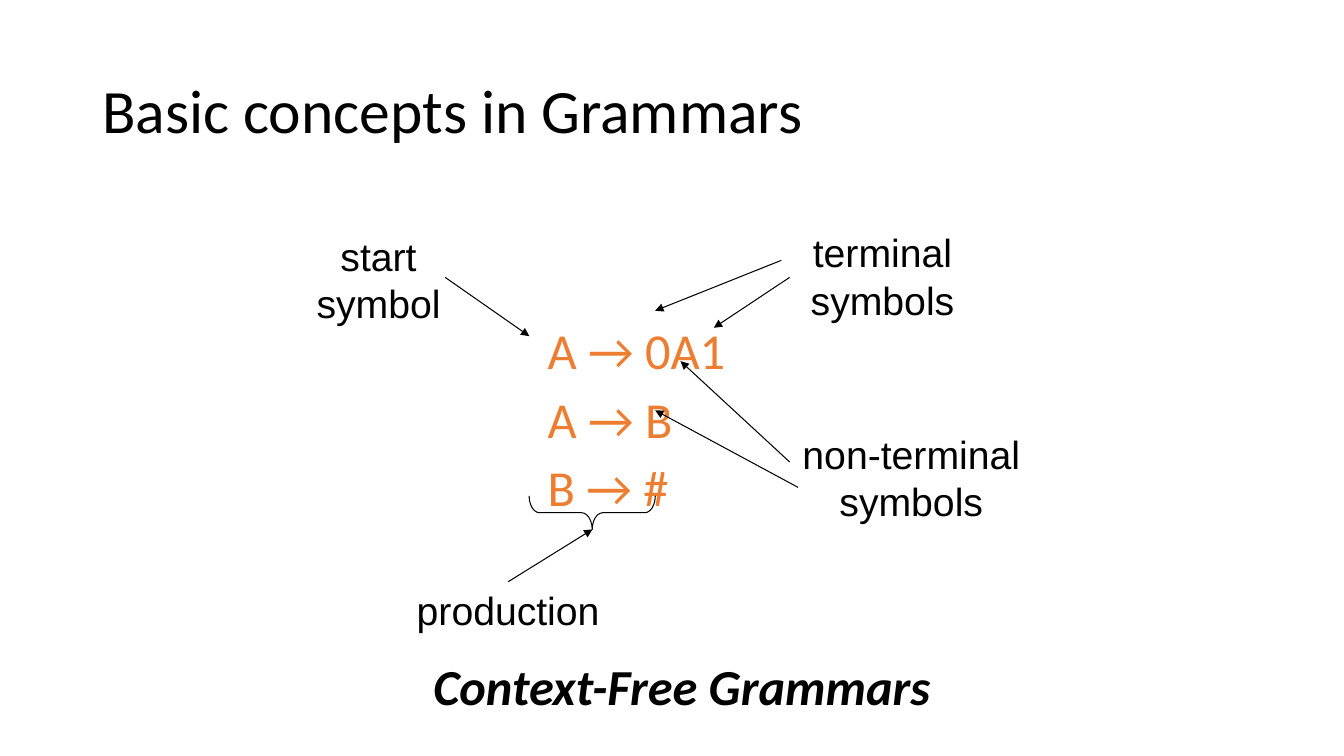
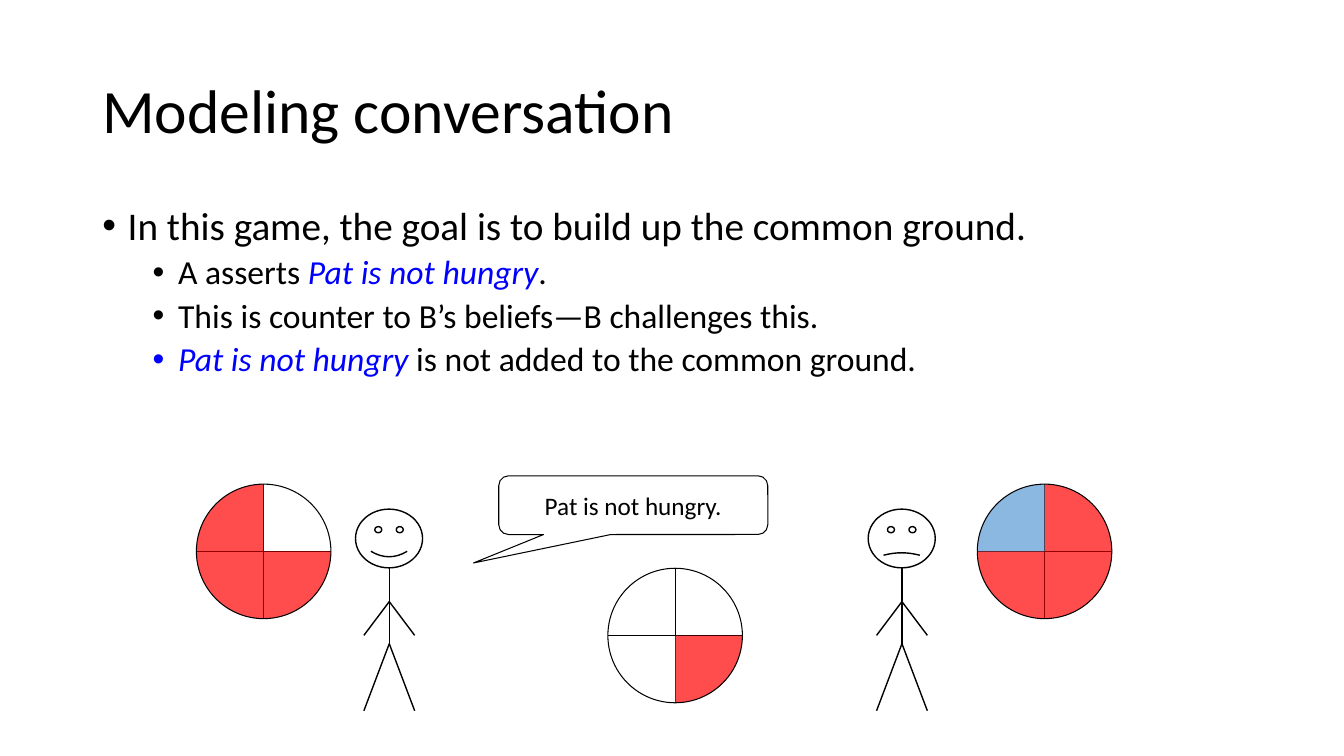
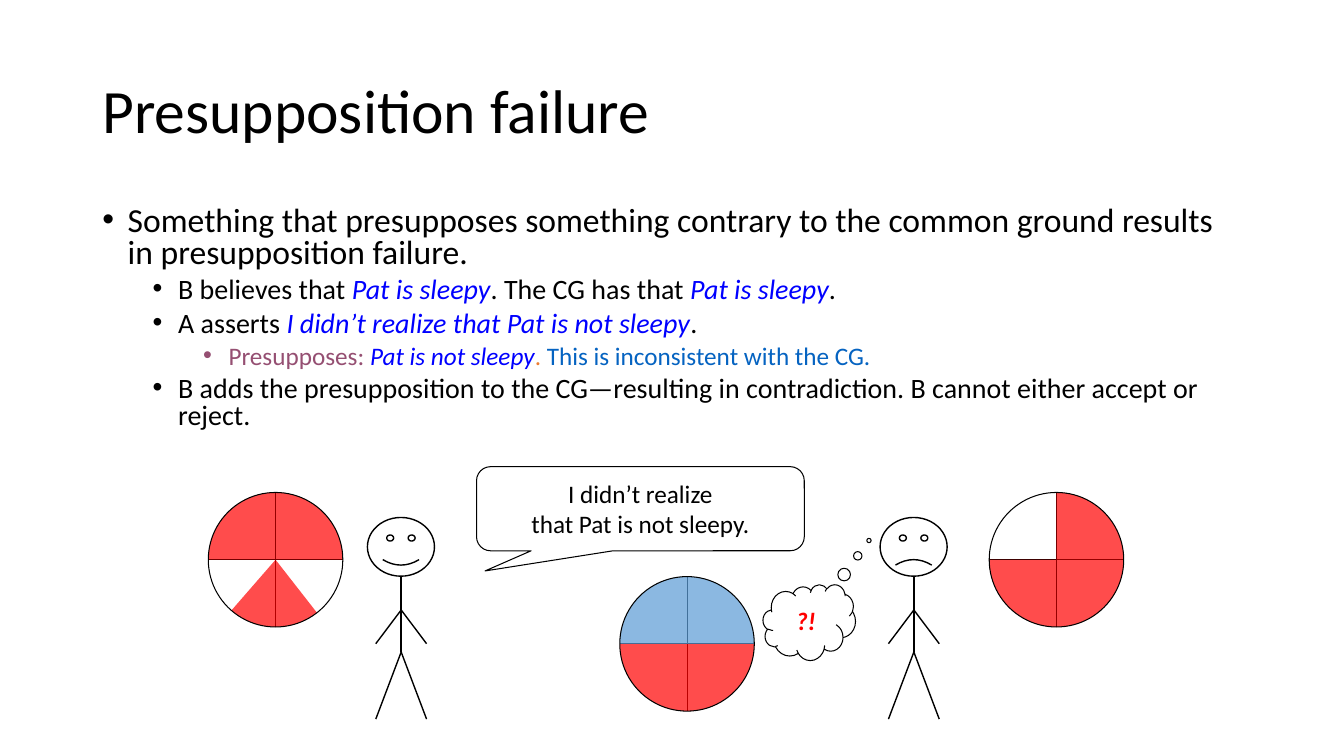
"""Build three lecture slides on grammars and modeling conversation."""
from dataclasses import dataclass
from lxml import etree
from pptx import Presentation
from pptx.dml.color import RGBColor
from pptx.enum.shapes import MSO_CONNECTOR, MSO_SHAPE
from pptx.enum.text import MSO_ANCHOR, PP_ALIGN
from pptx.oxml.ns import qn
from pptx.util import Cm, Pt

STRAIGHT = MSO_CONNECTOR.STRAIGHT
PIE, OVAL, SMILEY = MSO_SHAPE.PIE, MSO_SHAPE.OVAL, MSO_SHAPE.SMILEY_FACE
BRACE = MSO_SHAPE.LEFT_BRACE
SPEECH = MSO_SHAPE.ROUNDED_RECTANGULAR_CALLOUT
THOUGHT = MSO_SHAPE.CLOUD_CALLOUT
TOP, MIDDLE = MSO_ANCHOR.TOP, MSO_ANCHOR.MIDDLE
LEFT, CENTER = PP_ALIGN.LEFT, PP_ALIGN.CENTER


@dataclass(frozen=True)
class Theme:
    """Colours, fonts and sizes shared by the slides."""
    ink: str = "000000"
    orange: str = "ED7D31"
    claim: str = "0000FF"
    purple: str = "954F72"
    blue: str = "0563C1"
    believed: str = "FF0000"
    denied: str = "5B9BD5"
    body_font: str = "Calibri"
    label_font: str = "Arial"
    title_size: int = 44
    rule_size: int = 36
    label_size: int = 28
    speech_size: int = 18
    thin: float = 0.75
    figure: float = 1
    opacity: int = 70000
    spacing: float = 0.9


T = Theme()
LOWER_RIGHT, LOWER_LEFT, UPPER_LEFT, UPPER_RIGHT = (
    (start, start + 90) for start in range(0, 360, 90))
LOWER_WEDGE = (52, 131)
PIE_SIZE = 3.39


def plain(text, color=T.ink):
    """Return an upright run."""
    return text, color, False, False


def claim(text):
    """Return a run that quotes a proposition."""
    return text, T.claim, False, True


def write(paragraph, runs, size, font=T.body_font):
    """Add styled runs to a paragraph."""
    for text, color, bold, italic in runs:
        run = paragraph.add_run()
        run.text = text
        run.font.name, run.font.size = font, Pt(size)
        run.font.bold, run.font.italic = bold, italic
        run.font.color.rgb = RGBColor.from_string(color)


def fill_lines(frame, lines, size, font=T.body_font, align=LEFT, spacing=None, before=0):
    """Write one paragraph per line into a text frame."""
    for index, runs in enumerate(lines):
        paragraph = frame.paragraphs[0] if index == 0 else frame.add_paragraph()
        paragraph.alignment = align
        paragraph.line_spacing = spacing
        if index and before:
            paragraph.space_before = Pt(before)
        write(paragraph, runs, size, font)


def add_text(slide, box, lines, size, anchor=TOP, wrap=True, **style):
    """Add a text box holding the given lines."""
    text_box = slide.shapes.add_textbox(*map(Cm, box))
    text_box.text_frame.word_wrap = wrap
    text_box.text_frame.vertical_anchor = anchor
    fill_lines(text_box.text_frame, lines, size, **style)
    return text_box


def add_title(slide, text):
    """Add the slide title."""
    add_text(slide, (2.33, 1.01, 29.21, 3.68), [[plain(text)]], T.title_size,
             anchor=MIDDLE, spacing=T.spacing)


def add_bullets(slide, height, items, sizes, spacing):
    """Add a bulleted list of (level, runs) items."""
    box = slide.shapes.add_textbox(Cm(2.33), Cm(5.08), Cm(29.21), Cm(height))
    frame = box.text_frame
    frame.word_wrap = True
    for index, (level, runs) in enumerate(items):
        paragraph = frame.paragraphs[0] if index == 0 else frame.add_paragraph()
        paragraph.level = level
        paragraph.line_spacing = spacing
        if index:
            paragraph.space_before = Pt(5 if level else 10)
        properties = paragraph._p.get_or_add_pPr()
        properties.set("marL", str(Cm(0.64 + 1.27 * level)))
        properties.set("indent", str(-Cm(0.64)))
        etree.SubElement(properties, qn("a:buFont"), typeface=T.label_font)
        etree.SubElement(properties, qn("a:buChar"), char="•")
        write(paragraph, runs, sizes[level])


def add_line(shapes, start, end, weight=T.thin, arrow=False):
    """Add a straight line, with an arrowhead at its end if asked."""
    line = shapes.add_connector(STRAIGHT, *map(Cm, (*start, *end)))
    line.line.color.rgb = RGBColor.from_string(T.ink)
    line.line.width = Pt(weight)
    if arrow:
        etree.SubElement(line.line._get_or_add_ln(), qn("a:tailEnd"), type="triangle")
    etree.SubElement(line._element.spPr, qn("a:effectLst"))
    return line


def add_outline(shapes, kind, box, adjustments=(), weight=T.thin):
    """Add an unfilled preset shape with a black outline."""
    shape = shapes.add_shape(kind, *map(Cm, box))
    shape.shadow.inherit = False
    shape.fill.background()
    shape.line.color.rgb = RGBColor.from_string(T.ink)
    shape.line.width = Pt(weight)
    for index, value in enumerate(adjustments):
        shape.adjustments[index] = value
    return shape


def add_callout(slide, kind, box, adjustments, lines):
    """Add a speech or thought bubble."""
    frame = add_outline(slide.shapes, kind, box, adjustments).text_frame
    frame.word_wrap = False
    frame.vertical_anchor = MIDDLE
    fill_lines(frame, lines, T.speech_size, align=CENTER)


def add_person(slide, left, top, smile):
    """Add a stick figure whose mouth bends by the given amount."""
    shapes = slide.shapes.add_group_shape().shapes
    add_outline(shapes, SMILEY, (left, top, 1.69, 1.48), [smile], T.figure)
    middle, shoulder, hip = left + 0.85, top + 2.33, top + 3.39
    add_line(shapes, (middle, top + 1.48), (middle, hip), T.figure)
    for joint, reach in ((hip, 1.69), (shoulder, 0.85)):
        for side in (-0.64, 0.64):
            add_line(shapes, (middle, joint), (middle + side, joint + reach), T.figure)


def add_belief_pie(slide, left, top, sectors):
    """Add a quartered circle with (angles, colour) sectors filled."""
    shapes = slide.shapes.add_group_shape().shapes
    middle_x, middle_y = left + PIE_SIZE / 2, top + PIE_SIZE / 2
    add_line(shapes, (middle_x, top), (middle_x, top + PIE_SIZE))
    add_line(shapes, (left, middle_y), (left + PIE_SIZE, middle_y))
    box = (left, top, PIE_SIZE, PIE_SIZE)
    for angles, color in sectors:
        sector = add_outline(shapes, PIE, box, [angle % 360 * 0.6 for angle in angles])
        sector.line.fill.background()
        sector.fill.solid()
        sector.fill.fore_color.rgb = RGBColor.from_string(color)
        tint = sector._element.spPr.find(qn("a:solidFill")).find(qn("a:srgbClr"))
        etree.SubElement(tint, qn("a:alpha"), val=str(T.opacity))
    add_outline(shapes, OVAL, box)


def believe(*sectors):
    """Mark sectors as believed."""
    return [(angles, T.believed) for angles in sectors]


def deny(*sectors):
    """Mark sectors as denied."""
    return [(angles, T.denied) for angles in sectors]


def add_scene(slide, shift, frown, speaker, hearer, common_ground):
    """Add both people with their beliefs and the common ground."""
    dx, dy = shift
    add_person(slide, 8.96 + dx, 12.83 + dy, 0.047)
    add_person(slide, 21.88 + dx, 12.83 + dy, frown)
    for left, top, sectors in ((4.95, 12.2, speaker), (24.63, 12.2, hearer),
                               (15.32, 14.32, common_ground)):
        add_belief_pie(slide, left + dx, top + dy, sectors)


def grammar_slide(slide):
    """Draw the annotated grammar."""
    add_title(slide, "Basic concepts in Grammars")
    rules = add_text(slide, (13.8, 8.1, 7, 5),
                     [[plain(rule, T.orange)] for rule in ("A → 0A1", "A → B", "B → #")],
                     T.rule_size, spacing=T.spacing, before=10)
    rules.text_frame.margin_left = 0
    labels = {}
    for text, box in (("start symbol", (7.42, 5.72, 4.24, 2.62)),
                      ("terminal symbols", (20.12, 5.64, 4.24, 2.62)),
                      ("non-terminal symbols", (19.69, 10.72, 6.55, 2.62)),
                      ("production", (9.53, 14.66, 6.55, 1.45))):
        labels[text] = add_text(slide, box, [[plain(text)]], T.label_size,
                                font=T.label_font, align=CENTER)
    for start, end in (((11.22, 6.99), (13.34, 8.47)),
                       ((19.69, 6.56), (16.51, 7.83)),
                       ((19.9, 6.99), (17.99, 8.26)),
                       ((20.11, 12.28), (16.51, 10.34)),
                       ((19.9, 11.64), (17.15, 9.1))):
        add_line(slide.shapes, start, end, arrow=True)
    brace = add_outline(slide.shapes, BRACE, (14.5, 11.33, 0.85, 3.18), (0.312, 0.5))
    brace.rotation = 270
    pointer = add_line(slide.shapes, (12.8, 14.66), (14.93, 13.34), arrow=True)
    pointer.begin_connect(labels["production"], 0)
    add_text(slide, (10.67, 16.38, 13.18, 1.8),
             [[("Context-Free Grammars", T.ink, True, True)]], T.rule_size, wrap=False)


def conversation_slide(slide):
    """Draw the rejected assertion."""
    add_title(slide, "Modeling conversation")
    add_bullets(slide, 5.03, [
        (0, [plain("In this game, the goal is to build up the common ground.")]),
        (1, [plain("A asserts "), claim("Pat is not hungry"), plain(".")]),
        (1, [plain("This is counter to B’s beliefs—B challenges this.")]),
        (1, [claim("Pat is not hungry "), plain("is not added to the common ground.")]),
    ], (28, 24), T.spacing)
    add_scene(slide, (0, 0), -0.021,
              believe(UPPER_LEFT, LOWER_LEFT, LOWER_RIGHT),
              believe(LOWER_LEFT, LOWER_RIGHT, UPPER_RIGHT) + deny(UPPER_LEFT),
              believe(LOWER_RIGHT))
    add_callout(slide, SPEECH, (12.57, 11.99, 6.78, 1.48), (-0.594, 0.985, 0.167),
                [[plain("Pat is not hungry.")]])


def presupposition_slide(slide):
    """Draw the failed presupposition."""
    add_title(slide, "Presupposition failure")
    add_bullets(slide, 6.5, [
        (0, [plain("Something that presupposes something contrary to the common ground "
                   "results in presupposition failure.")]),
        (1, [plain("B believes that "), claim("Pat is sleepy"),
             plain(". The CG has that "), claim("Pat is sleepy"), plain(".")]),
        (1, [plain("A asserts "), claim("I didn’t realize that Pat is not sleepy"),
             plain(".")]),
        (2, [plain("Presupposes: ", T.purple), claim("Pat is not sleepy"),
             plain(". ", T.orange), plain("This is inconsistent with the CG.", T.blue)]),
        (1, [plain("B adds the presupposition to the CG—resulting in contradiction. "
                   "B cannot either accept or reject.")]),
    ], (24, 20, 18), 0.8)
    add_scene(slide, (0.3, 0.21), -0.047,
              believe(UPPER_LEFT, UPPER_RIGHT, LOWER_WEDGE),
              believe(LOWER_LEFT, LOWER_RIGHT, UPPER_RIGHT),
              believe(LOWER_LEFT, LOWER_RIGHT) + deny(UPPER_LEFT, UPPER_RIGHT))
    add_callout(slide, SPEECH, (12.01, 11.76, 8.26, 2.12), (-0.474, 0.74, 0.167),
                [[plain("I didn’t realize")], [plain("that Pat is not sleepy.")]])
    add_callout(slide, THOUGHT, (19.23, 14.73, 2.33, 1.91), (0.646, -1.081),
                [[("?!", T.believed, True, True)]])


def main():
    """Build and save the slides."""
    deck = Presentation()
    deck.slide_width, deck.slide_height = Cm(33.87), Cm(19.05)
    for draw in (grammar_slide, conversation_slide, presupposition_slide):
        draw(deck.slides.add_slide(deck.slide_layouts[6]))
    deck.save("out.pptx")


if __name__ == "__main__":
    main()
